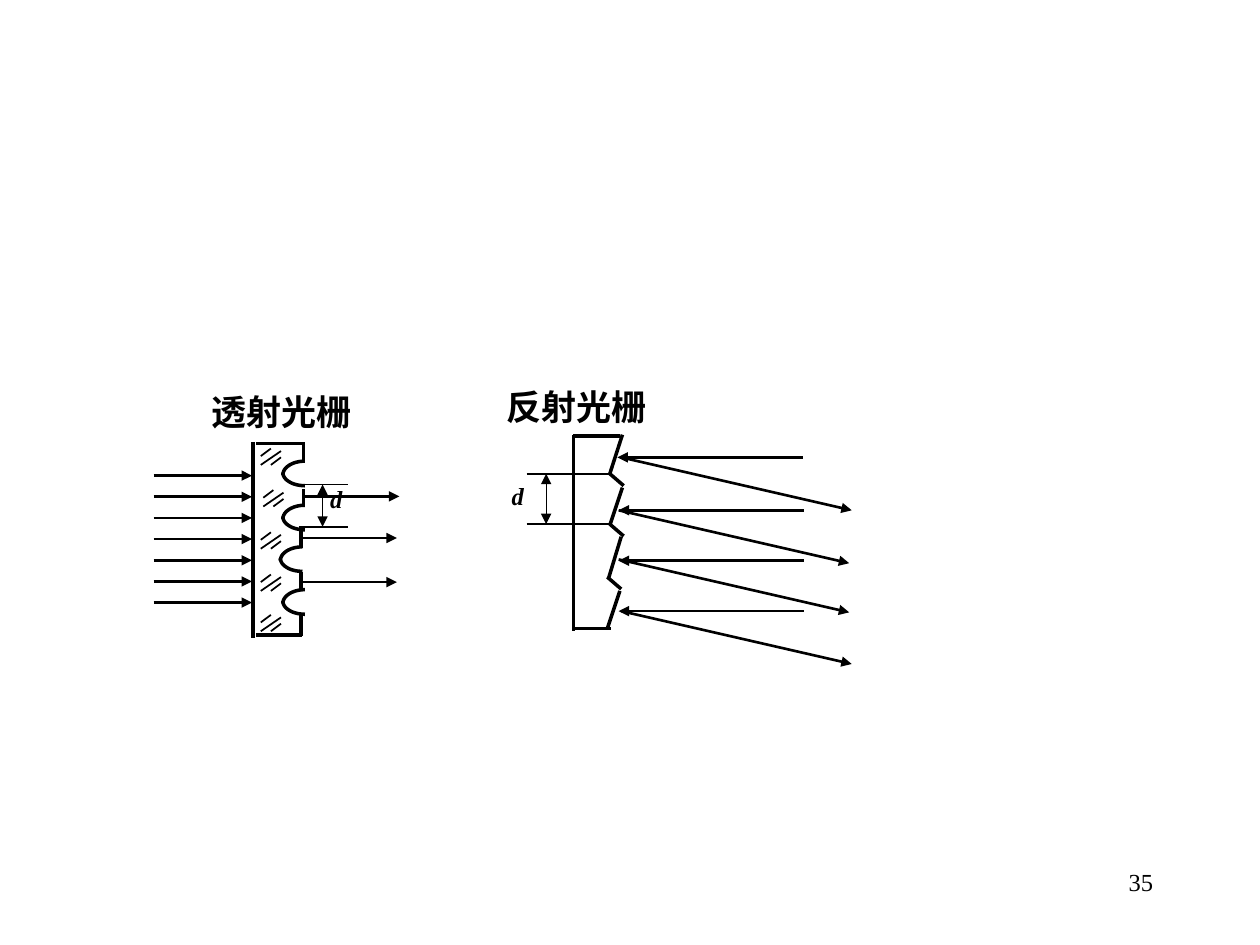
from math import cos, pi, sin

from lxml.etree import SubElement
from pptx import Presentation
from pptx.dml.color import RGBColor
from pptx.enum.shapes import MSO_CONNECTOR as Connector
from pptx.enum.text import PP_ALIGN as Align
from pptx.oxml.ns import qn
from pptx.util import Inches, Pt

BLACK = RGBColor(0x00, 0x00, 0x00)
FONT = "Times New Roman"
COLUMNS, ROWS = 100, 75
OUTLINE, RAY, THIN, HAIR = 2, 1.5, 1, 0.75
TITLE = {"size": Pt(20), "bold": True}
SYMBOL = {"size": Pt(14), "bold": True, "italic": True}
NUMBER = {"size": Pt(14)}


class Sketch:
    """Draws on one slide; all lengths are columns and rows of its grid."""

    def __init__(self, deck):
        self.slide = deck.slides.add_slide(deck.slide_layouts[6])
        self.shapes = self.slide.shapes
        self.column = deck.slide_width / COLUMNS
        self.row = deck.slide_height / ROWS

    def place(self, x, y):
        return round(x * self.column), round(y * self.row)

    def style_line(self, line, width):
        line.width = Pt(width)
        line.color.rgb = BLACK

    def line(self, start, end, width, head=False, tail=False):
        connector = self.shapes.add_connector(
            Connector.STRAIGHT, *self.place(*start), *self.place(*end))
        self.style_line(connector.line, width)
        properties = connector._element.spPr
        outline = properties.find(qn("a:ln"))
        for tag, wanted in (("a:headEnd", head), ("a:tailEnd", tail)):
            if wanted:
                SubElement(outline, qn(tag), type="triangle")
        SubElement(properties, qn("a:effectLst"))

    def quarter_arc(self, center, radii, side):
        """Open left quarter of an ellipse, above (-1) or below (1) its center."""
        steps = 16
        points = [self.place(center[0] - radii[0] * sin(step * pi / 2 / steps),
                             center[1] + side * radii[1] * cos(step * pi / 2 / steps))
                  for step in range(steps + 1)]
        builder = self.shapes.build_freeform(*points[0])
        builder.add_line_segments(points[1:], close=False)
        arc = builder.convert_to_shape()
        arc.shadow.inherit = False
        arc.fill.background()
        self.style_line(arc.line, OUTLINE)

    def text(self, words, corner, size, style, align=Align.JUSTIFY, insets=(0.01, 0.01)):
        box = self.shapes.add_textbox(*self.place(*corner), *self.place(*size))
        frame = box.text_frame
        frame.word_wrap = True
        frame.margin_left = frame.margin_right = Inches(insets[0])
        frame.margin_top = frame.margin_bottom = Inches(insets[1])
        para = frame.paragraphs[0]
        para.alignment = align
        span = para.add_run()
        span.text = words
        for name, value in {"name": FONT, **style}.items():
            setattr(span.font, name, value)
        span.font.color.rgb = BLACK

    def spacing_mark(self, x, left, right, top, bottom):
        """Double arrow between two extension lines, marking the period."""
        self.line((x, top), (x, bottom), HAIR, head=True, tail=True)
        for y in (top, bottom):
            self.line((left, y), (right, y), THIN)


def draw_reflection_grating(sketch):
    for x, y in ((49, 36.3), (49.1, 40.5), (49.1, 44.5), (49.1, 48.5)):
        sketch.line((x, y), (x + 14.75, y), RAY, head=True)
    for x, y in ((49.3, 36.3), (49.1, 40.5), (49.1, 44.4), (49.3, 48.5)):
        sketch.line((x, y), (x + 18.3, y + 4.2), RAY, tail=True)

    sketch.spacing_mark(43.35, 41.8, 48.4, 37.6, 41.6)
    sketch.text("d", (40.5, 38.1), (3.9, 2.8), SYMBOL)

    sketch.line((45.5, 34.5), (45.5, 50.1), OUTLINE)
    sketch.line((45.5, 34.6), (49.2, 34.6), OUTLINE)
    sketch.line((45.5, 49.9), (48.5, 49.9), OUTLINE)
    facets = ((49.4, 34.5, 37.6), (49.4, 38.7, 41.7), (49.3, 42.6, 45.9), (49.2, 46.9, 49.9))
    for x, top, bottom in facets:
        sketch.line((x, top), (x - 1, bottom), OUTLINE)
    for x, y in ((48.4, 37.6), (48.4, 41.6), (48.2, 45.8)):
        sketch.line((x, y), (x + 1.1, y + 0.95), OUTLINE)
    sketch.text("反射光栅", (40.1, 30.5), (15.3, 3.9), TITLE)


def draw_transmission_grating(sketch):
    for x, y in ((24, 39.4), (23.8, 42.7), (23.8, 46.2)):
        sketch.line((x, y), (x + 7.7, y), RAY, tail=True)
    for index in range(7):
        y = 37.75 + index * 1.68
        sketch.line((12.2, y), (20, y), RAY, tail=True)

    sketch.spacing_mark(25.6, 23.7, 27.6, 38.45, 41.8)
    sketch.text("d", (26.1, 38.3), (4.3, 2.9), SYMBOL)
    sketch.text("透射光栅", (16.7, 30.9), (13.8, 3.8), TITLE)

    sketch.line((20.1, 35.1), (20.1, 50.6), OUTLINE)
    for y in (35.2, 50.4):
        sketch.line((20.3, y), (24, y), OUTLINE)
    walls = ((24.1, 35.1, 36.7), (24.1, 38.8, 40.2), (23.9, 42.1, 43.5),
             (23.9, 45.4, 46.8), (23.9, 48.8, 50.5))
    for x, top, bottom in walls:
        sketch.line((x, top), (x, bottom), OUTLINE)
    for x, top in ((24.2, 36.6), (24.2, 40.1), (24, 43.4), (24.2, 46.8)):
        sketch.quarter_arc((x, top + 1.1), (1.75, 1.1), -1)
        sketch.quarter_arc((x, top + 0.9), (1.75, 1.05), 1)
    for x, y in ((20.7, 35.6), (20.9, 38.9), (20.7, 42.25), (20.7, 45.6), (20.7, 48.8)):
        sketch.line((x + 1.6, y + 0.7), (x + 0.8, y + 1.3), THIN)
        sketch.line((x + 0.8, y), (x, y + 0.6), THIN)
        sketch.line((x + 1.6, y + 0.2), (x, y + 1.3), THIN)


def main():
    deck = Presentation()
    deck.slide_width, deck.slide_height = Inches(10), Inches(7.5)
    sketch = Sketch(deck)
    sketch.text("35", (71.7, 68.3), (20.8, 5), NUMBER, Align.RIGHT, (0.1, 0.05))
    draw_reflection_grating(sketch)
    draw_transmission_grating(sketch)
    deck.save("out.pptx")


if __name__ == "__main__":
    main()
